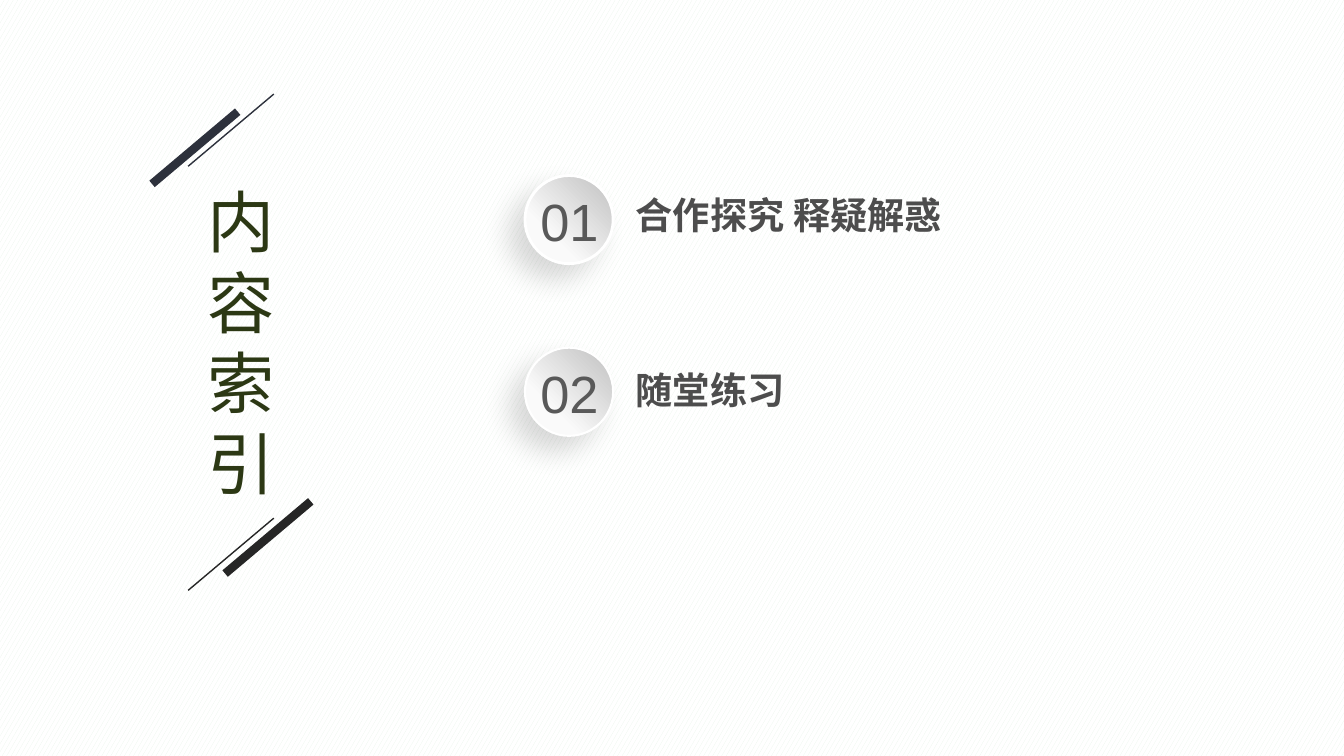
from lxml import etree
from pptx import Presentation
from pptx.dml.color import RGBColor
from pptx.enum.dml import MSO_PATTERN
from pptx.enum.shapes import MSO_CONNECTOR, MSO_SHAPE
from pptx.enum.text import MSO_ANCHOR, MSO_AUTO_SIZE, PP_ALIGN
from pptx.oxml.ns import qn
from pptx.util import Inches, Pt

CONFETTI = MSO_PATTERN.LARGE_CONFETTI
STRAIGHT = MSO_CONNECTOR.STRAIGHT
OVAL = MSO_SHAPE.OVAL
TOP, MIDDLE = MSO_ANCHOR.TOP, MSO_ANCHOR.MIDDLE
LEFT, CENTER = PP_ALIGN.LEFT, PP_ALIGN.CENTER
FIT = MSO_AUTO_SIZE.SHAPE_TO_FIT_TEXT

COLUMNS = 160
STROKE_COLS, STROKE_ROWS = 10.2, 8.6
BADGE = 10.5


def rgb(value):
    """Turn a hex string into a colour."""
    return RGBColor.from_string(value)


class Deck:
    """Hold the style and the current slide, measured in grid cells."""

    title_font, number_font, label_font = "Calibri", "Arial", "Noto Sans CJK JP"
    title_color, number_color, label_color = "2C3814", "595959", "4D4D4D"

    def __init__(self):
        """Open a widescreen deck with one patterned slide."""
        self.prs = Presentation()
        self.prs.slide_width = Inches(13.33)
        self.prs.slide_height = Inches(7.5)
        self.s = self.prs.slides.add_slide(self.prs.slide_layouts[6])
        fill = self.s.background.fill
        fill.patterned()
        fill.pattern = CONFETTI
        fill.fore_color.rgb = rgb("E8F4E9")
        fill.back_color.rgb = rgb("FFFFFF")

    def cells(self, *counts):
        """Convert grid cells to slide lengths."""
        return [int(n * self.prs.slide_width / COLUMNS) for n in counts]

    def text(self, text, box, font, size, color, bold=False,
             wrap=False, align=LEFT, anchor=TOP):
        """Add a text box of one run."""
        sp = self.s.shapes.add_textbox(*self.cells(*box))
        tf = sp.text_frame
        tf.text = text
        tf.word_wrap = wrap
        tf.auto_size = FIT
        tf.vertical_anchor = anchor
        p = tf.paragraphs[0]
        p.alignment = align
        r = p.runs[0]
        r.font.name = font
        r.font.size = Pt(size)
        r.font.bold = bold
        r.font.color.rgb = rgb(color)
        etree.SubElement(r.font._element, qn("a:ea"), typeface=font)

    def stroke(self, col, row, color, width):
        """Add a slanted stroke rising from its lower left end."""
        ends = self.cells(col, row, col + STROKE_COLS, row - STROKE_ROWS)
        line = self.s.shapes.add_connector(STRAIGHT, *ends)
        line.line.color.rgb = rgb(color)
        line.line.width = Pt(width)
        etree.SubElement(line._element.spPr, qn("a:effectLst"))

    def soft_shadow(self, sp):
        """Give a shape a soft shadow to the lower left."""
        sp.shadow.inherit = False
        effects = sp._element.spPr.find(qn("a:effectLst"))
        shadow = etree.SubElement(
            effects, qn("a:outerShdw"), blurRad=str(Pt(20)), dist=str(Pt(15)),
            dir=str(135 * 60000), algn="tr", rotWithShape="0")
        color = etree.SubElement(shadow, qn("a:srgbClr"), val="000000")
        etree.SubElement(color, qn("a:alpha"), val="15000")

    def badge(self, number, col, row, outline):
        """Add a shaded disc with a number on it."""
        sp = self.s.shapes.add_shape(OVAL, *self.cells(col, row, BADGE, BADGE))
        sp.fill.gradient()
        sp.fill.gradient_angle = 225
        shades = (("BFBFBF", 0), ("FAFAFA", 0.7))
        for stop, (color, position) in zip(sp.fill.gradient_stops, shades):
            stop.color.rgb = rgb(color)
            stop.position = position
        sp.line.color.rgb = rgb("FFFFFF")
        sp.line.width = Pt(outline)
        self.soft_shadow(sp)
        self.text(number, (col + 0.6, row + 0.95, 9.4, 8.8), self.number_font,
                  37.4, self.number_color, align=CENTER, anchor=MIDDLE)

    def title(self, text, box):
        """Add the title, one character to a line."""
        self.text(text, box, self.title_font, 48, self.title_color, wrap=True)

    def label(self, text, col, row, width):
        """Add the heading beside a badge."""
        self.text(text, (col, row, width, 6.6), self.label_font, 26.6,
                  self.label_color, bold=True)


def main():
    """Build the contents slide."""
    deck = Deck()
    deck.title("内容索引", (23.5, 20.9, 12.4, 40))
    strokes = (
        (18.1, 21.9, "2D313C", 6),
        (22.4, 19.8, "2D313C", 1),
        (26.8, 68.3, "262626", 6),
        (22.4, 70.3, "262626", 1),
    )
    for stroke in strokes:
        deck.stroke(*stroke)
    entries = (
        ("01", 20.9, 2, "合作探究 释疑解惑", 22.3, 39.4),
        ("02", 41.4, 1.5, "随堂练习", 43.2, 20.4),
    )
    for number, badge_row, outline, heading, label_row, width in entries:
        deck.badge(number, 62.5, badge_row, outline)
        deck.label(heading, 74.5, label_row, width)
    deck.prs.save("out.pptx")


if __name__ == "__main__":
    main()
